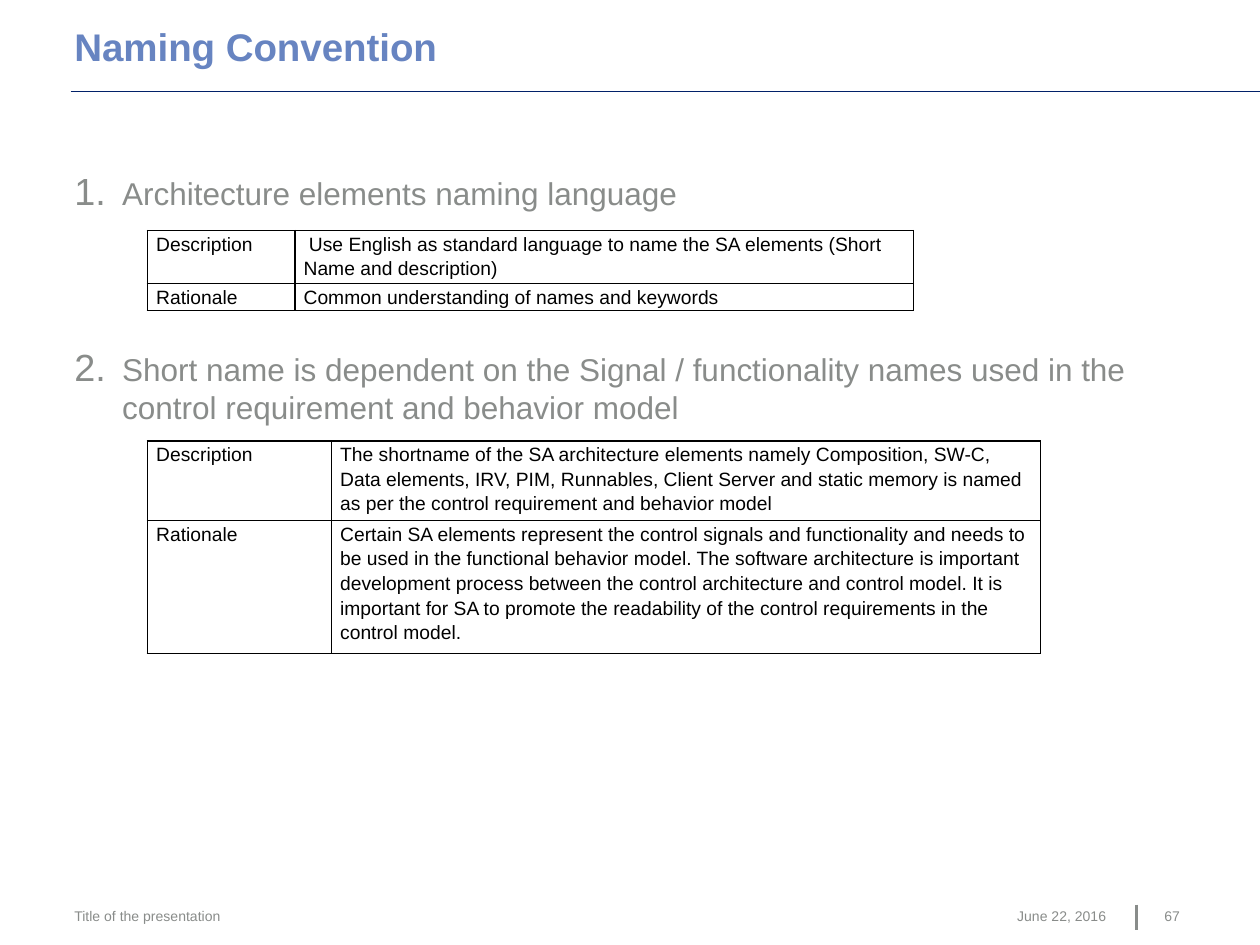
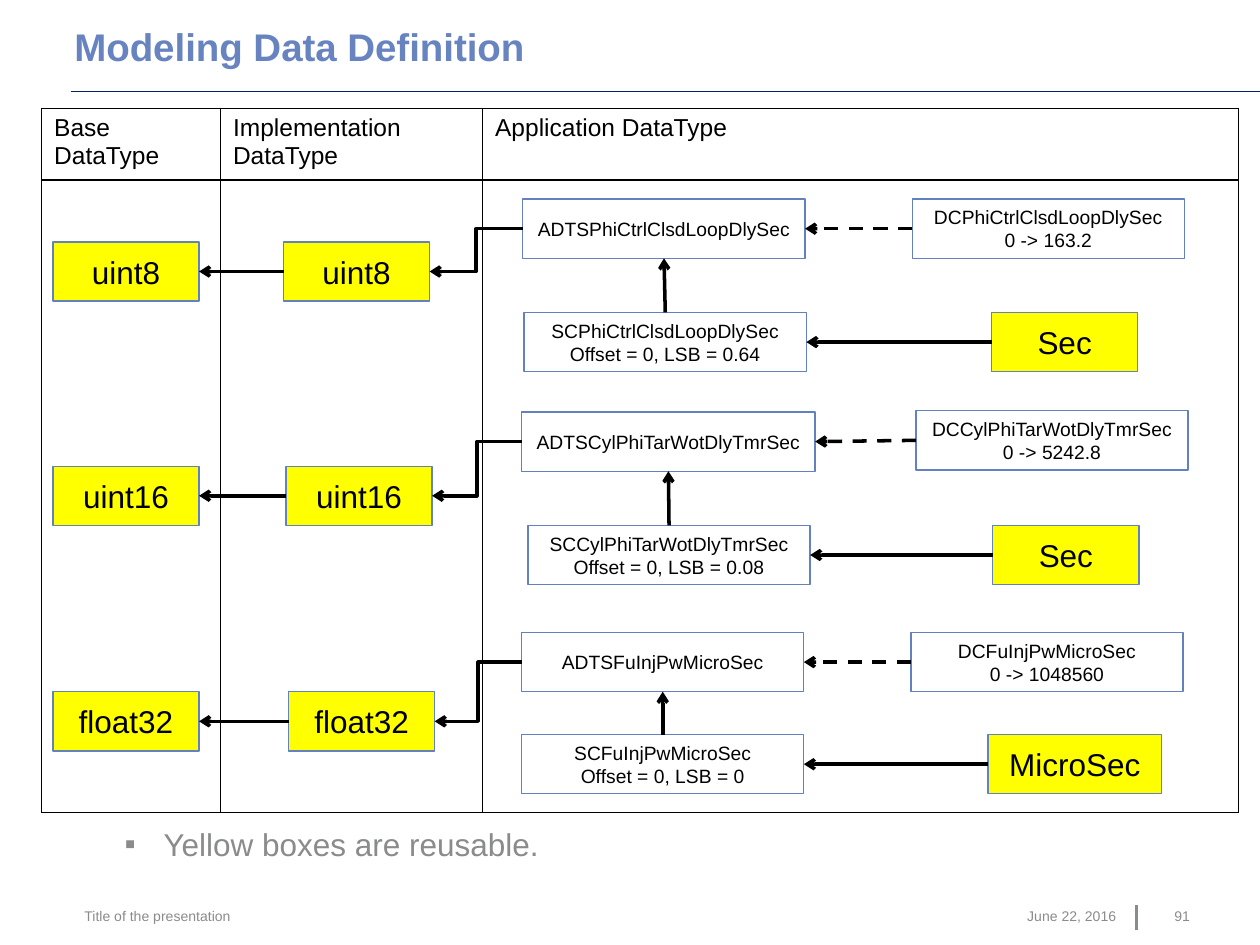
"""Build two slides on naming rules and data type modeling."""
from collections import namedtuple
from dataclasses import dataclass

from lxml.etree import SubElement
from pptx import Presentation
from pptx.dml.color import RGBColor
from pptx.enum.dml import MSO_LINE
from pptx.enum.shapes import MSO_CONNECTOR, MSO_SHAPE
from pptx.enum.text import MSO_ANCHOR, PP_ALIGN
from pptx.oxml import parse_xml
from pptx.oxml.ns import nsdecls, qn
from pptx.util import Inches, Pt


@dataclass(frozen=True)
class Theme:
    font: str = "Arial"
    title: str = "6784C1"
    grey: str = "898C8A"
    rule: str = "012169"
    edge: str = "6380BF"
    yellow: str = "FFFF00"
    ink: str = "000000"
    head: int = 22
    body: int = 18
    label: int = 14
    small: int = 11
    foot: int = 8


THEME = Theme()
TOP, LEFT, BOTTOM, RIGHT = range(4)
HIGH = 0.47
Chain = namedtuple("Chain", "kind stem range lsb unit base impl adt dc sc tag")
CHAINS = [
    Chain("float32", "FuInjPwMicroSec", "0 -> 1048560", "0", "MicroSec",
          5.49, 2.29, (4.14, 5.02, 2.24), (7.23, 5.02), (4.14, 5.83), (7.84, 1.38)),
    Chain("uint16", "CylPhiTarWotDlyTmrSec", "0 -> 5242.8", "0.08", "Sec",
          3.7, 2.27, (4.14, 3.27, 2.33), (7.27, 3.26), (4.19, 4.17), (7.88, 1.16)),
    Chain("uint8", "PhiCtrlClsdLoopDlySec", "0 -> 163.2", "0.64", "Sec",
          1.92, 2.25, (4.15, 1.58, 2.24), (7.24, 1.58), (4.16, 2.48), (7.87, 1.16)),
]


def style(frame, size, color, bold=False, align=None):
    for para in frame.paragraphs:
        para.alignment = align
        for run in para.runs:
            run.font.name = THEME.font
            run.font.size = Pt(size)
            run.font.bold = bold
            run.font.color.rgb = RGBColor.from_string(color)


def pad(item, side, top):
    item.margin_left = item.margin_right = Inches(side)
    item.margin_top = item.margin_bottom = Inches(top)


def add_text(slide, area, text, size, color, bold=False, align=None, inset=(0, 0)):
    frame = slide.shapes.add_textbox(*map(Inches, area)).text_frame
    frame.word_wrap = True
    pad(frame, *inset)
    frame.text = text
    style(frame, size, color, bold, align)
    return frame


def add_bullet(para, left, hang, tag, attrs, scale=100):
    props = para._p.get_or_add_pPr()
    props.set("marL", str(Inches(left)))
    props.set("indent", str(-Inches(hang)))
    SubElement(props, qn("a:buSzPct"), val=str(scale * 1000))
    SubElement(props, qn("a:buFont"), typeface=THEME.font)
    SubElement(props, qn(tag), attrs)


def add_line(slide, start, end, color, width, kind=MSO_CONNECTOR.STRAIGHT):
    line = slide.shapes.add_connector(kind, *start, *end)
    line.line.color.rgb = RGBColor.from_string(color)
    line.line.width = Pt(width)
    SubElement(line._element.spPr, qn("a:effectLst"))
    return line


def side_point(box, side):
    across = {LEFT: 0, RIGHT: box.width}.get(side, box.width // 2)
    down = {TOP: 0, BOTTOM: box.height}.get(side, box.height // 2)
    return box.left + across, box.top + down


def link(slide, start, out, end, into, dash=False, bent=False):
    kind = MSO_CONNECTOR.ELBOW if bent else MSO_CONNECTOR.STRAIGHT
    line = add_line(slide, side_point(start, out), side_point(end, into),
                    THEME.ink, 2, kind)
    line.begin_connect(start, out)
    line.end_connect(end, into)
    if dash:
        line.line.dash_style = MSO_LINE.DASH
    SubElement(line.line._get_or_add_ln(), qn("a:tailEnd"), type="arrow")


def add_box(slide, left, top, width, text, reuse=False):
    box = slide.shapes.add_shape(
        MSO_SHAPE.RECTANGLE, *map(Inches, (left, top, width, HIGH)))
    box.shadow.inherit = False
    if reuse:
        box.fill.solid()
        box.fill.fore_color.rgb = RGBColor.from_string(THEME.yellow)
    else:
        box.fill.background()
    box.line.color.rgb = RGBColor.from_string(THEME.edge)
    box.line.width = Pt(0.75)
    frame = box.text_frame
    frame.text = text
    frame.vertical_anchor = MSO_ANCHOR.MIDDLE
    style(frame, THEME.body if reuse else THEME.small, THEME.ink,
          align=PP_ALIGN.CENTER)
    return box


def add_border(cell):
    props = cell._tc.get_or_add_tcPr()
    for spot, side in enumerate("LRTB"):
        props.insert(spot, parse_xml(
            f'<a:ln{side} {nsdecls("a")} w="{Pt(1)}"><a:solidFill>'
            f'<a:srgbClr val="{THEME.ink}"/></a:solidFill></a:ln{side}>'))


def add_grid(slide, left, top, cols, rows, texts, size, inset, gap=None):
    area = map(Inches, (left, top, sum(cols), sum(rows)))
    table = slide.shapes.add_table(len(rows), len(cols), *area).table
    table.first_row = table.horz_banding = False
    for col, width in zip(table.columns, cols):
        col.width = Inches(width)
    for row, height, line in zip(table.rows, rows, texts):
        row.height = Inches(height)
        for cell, text in zip(row.cells, line):
            cell.fill.background()
            add_border(cell)
            pad(cell, *inset)
            if text:
                cell.text = text
                style(cell.text_frame, size, THEME.ink)
                cell.text_frame.paragraphs[0].line_spacing = gap


def add_rule(slide, top, cols, rows, about, reason):
    texts = [("Description", about), ("Rationale", reason)]
    add_grid(slide, 1.17, top, cols, rows, texts, THEME.small, (0.07, 0), 1.15)


def add_page(deck, title, number, shift=0):
    slide = deck.slides.add_slide(deck.slide_layouts[6])
    for start, end, color, width in [
        ((9.02, 7.18), (9.02, 7.38), THEME.grey, 1.5),
        ((0.56, 0.72), (10, 0.72), THEME.rule, 0.1),
    ]:
        add_line(slide, map(Inches, start), map(Inches, end), color, width)
    frame = add_text(slide, (0.59, 0.22, 6.62, 0.35), title,
                     THEME.head, THEME.title, bold=True)
    frame.vertical_anchor = MSO_ANCHOR.MIDDLE
    frame.paragraphs[0].line_spacing = Pt(22)
    for left, width, text, align in [
        (0.59, 4.13, "Title of the presentation", None),
        (7.23, 1.55, "June 22, 2016", PP_ALIGN.RIGHT),
        (9.24, 0.35, number, None),
    ]:
        add_text(slide, (left + shift, 7.2, width, 0.23), text,
                 THEME.foot, THEME.grey, align=align)
    return slide


def add_chain(slide, chain):
    base = add_box(slide, 0.42, chain.base, 1.16, chain.kind, True)
    impl = add_box(slide, chain.impl, chain.base, 1.16, chain.kind, True)
    adt = add_box(slide, *chain.adt, f"ADTS{chain.stem}")
    limit = add_box(slide, *chain.dc, 2.16, f"DC{chain.stem}\n{chain.range}")
    scale = add_box(slide, *chain.sc, 2.24,
                    f"SC{chain.stem}\nOffset = 0, LSB = {chain.lsb}")
    left, width = chain.tag
    unit = add_box(slide, left, chain.sc[1], width, chain.unit, True)
    link(slide, impl, LEFT, base, RIGHT)
    link(slide, adt, LEFT, impl, RIGHT, bent=True)
    link(slide, scale, TOP, adt, BOTTOM)
    link(slide, limit, LEFT, adt, RIGHT, dash=True)
    link(slide, unit, LEFT, scale, RIGHT)


def add_naming(deck):
    slide = add_page(deck, "Naming Convention", "67")
    frame = add_text(
        slide, (0.59, 1.38, 8.8, 5.39),
        "Architecture elements naming language\n"
        "Short name is dependent on the Signal / functionality names used in "
        "the control requirement and behavior model",
        THEME.body, THEME.grey)
    for para in frame.paragraphs:
        add_bullet(para, 0.38, 0.38, "a:buAutoNum", {"type": "arabicPeriod"}, 120)
    frame.paragraphs[1].space_before = Pt(79)
    add_rule(slide, 1.83, (1.17, 4.91), (0.39, 0.2),
             " Use English as standard language to name the SA elements "
             "(Short Name and description)",
             "Common understanding of names and keywords")
    add_rule(slide, 3.5, (1.46, 5.63), (0.59, 0.97),
             "The shortname of the SA architecture elements namely Composition, "
             "SW-C, Data elements, IRV, PIM, Runnables, Client Server and static "
             "memory is named as per the control requirement and behavior model",
             "Certain SA elements represent the control signals and functionality "
             "and needs to be used in the functional behavior model. The software "
             "architecture is important development process between the control "
             "architecture and control model. It is important for SA to promote "
             "the readability of the control requirements in the control model.")


def add_types(deck):
    slide = add_page(deck, "Modeling Data Definition", "91", 0.08)
    heads = ("Base DataType", "Implementation DataType", "Application DataType")
    add_grid(slide, 0.33, 0.86, (1.42, 2.08, 6), (0.54, 5.02),
             [heads, ("", "", "")], THEME.label, (0.1, 0.05))
    for chain in CHAINS:
        add_chain(slide, chain)
    frame = add_text(slide, (0.39, 6.5, 4.03, 0.4), "Yellow boxes are reusable.",
                     THEME.body, THEME.grey, inset=(0.1, 0.05))
    add_bullet(frame.paragraphs[0], 0.81, 0.31, "a:buChar", {"char": "▪"})


def main():
    deck = Presentation()
    deck.slide_width, deck.slide_height = Inches(10), Inches(7.5)
    add_naming(deck)
    add_types(deck)
    deck.save("out.pptx")


if __name__ == "__main__":
    main()
